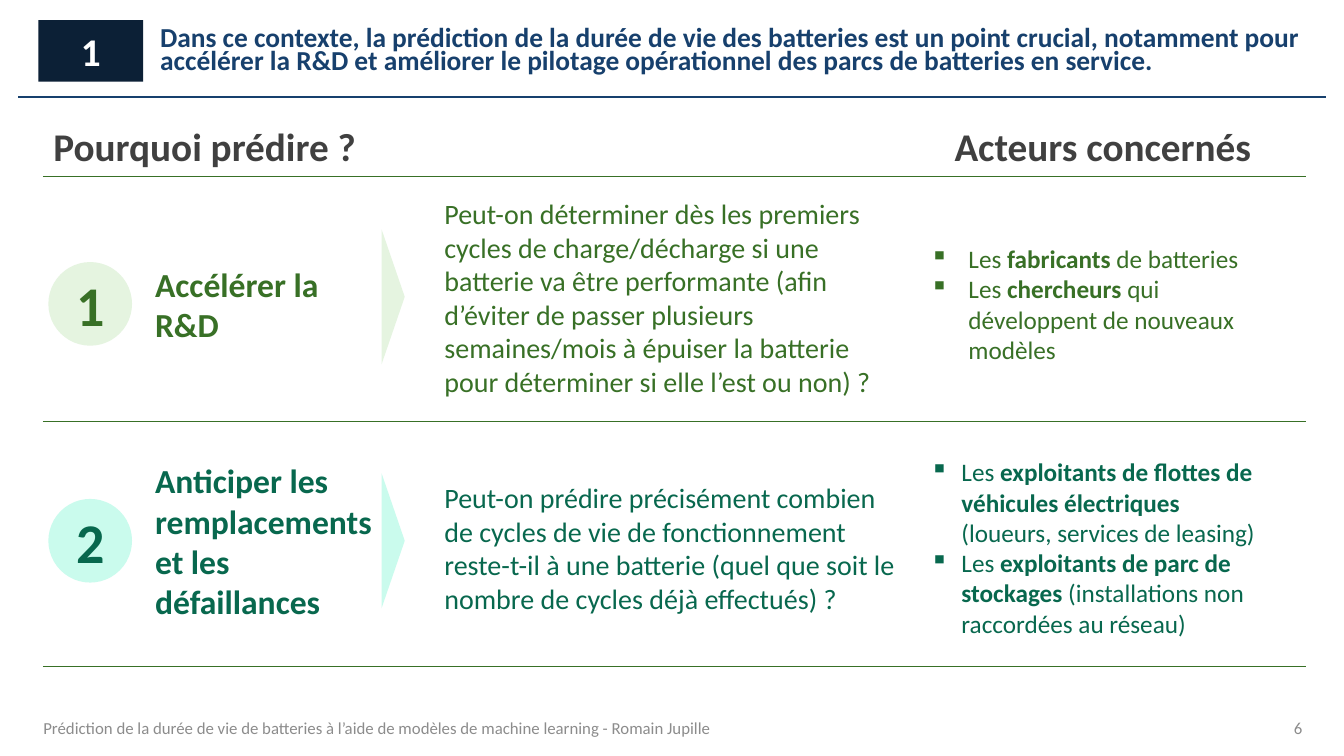
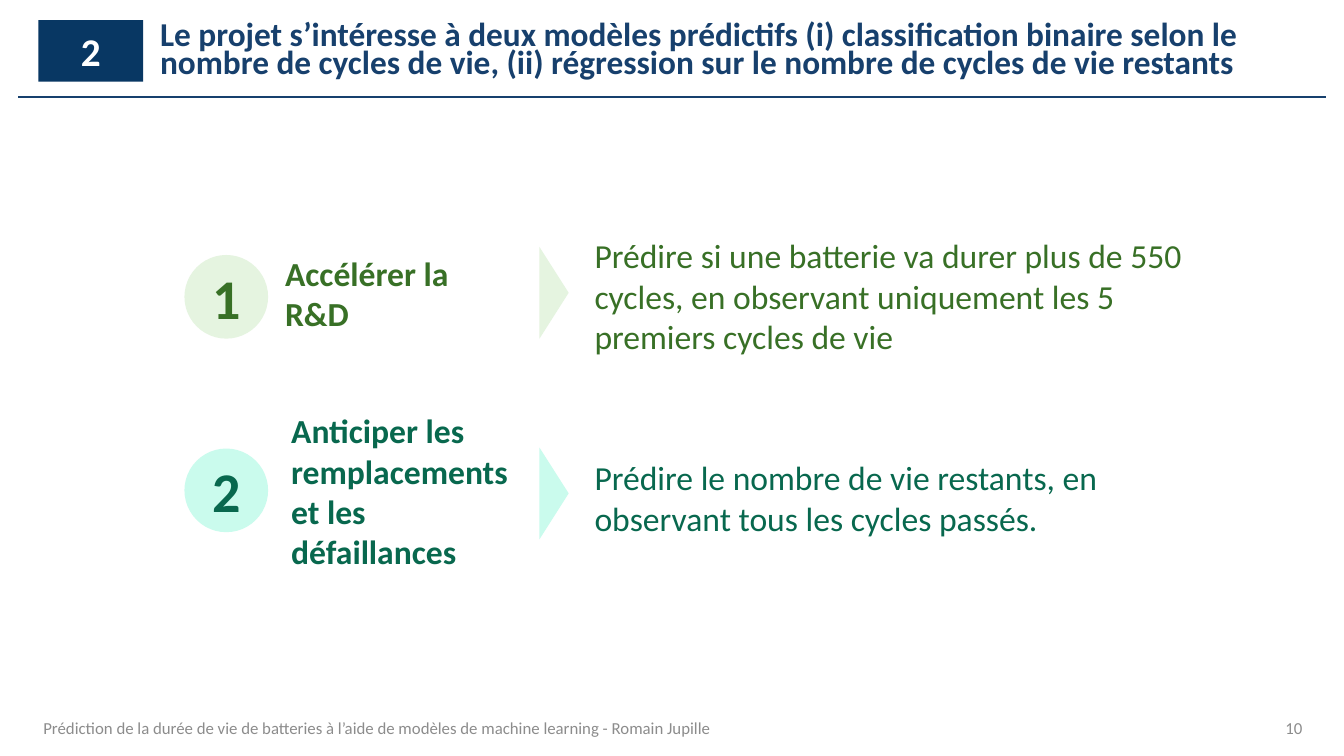
"""Build two slides on predicting battery life, on a grid of 40 columns and 30 rows."""
from lxml.etree import SubElement
from pptx import Presentation
from pptx.dml.color import RGBColor
from pptx.enum.shapes import MSO_CONNECTOR as Connector, MSO_SHAPE as Shape
from pptx.enum.text import MSO_ANCHOR as Anchor, PP_ALIGN as Align
from pptx.oxml.ns import qn
from pptx.util import Emu, Inches, Pt

COLORS = {
    "title": "17406D", "heading": "404040", "footer": "8C8C8C", "white": "FFFFFF",
    "badge_1": "0C2036", "badge_2": "083763",
    "green": "387026", "green_pale": "E5F4E0",
    "teal": "08684E", "teal_pale": "CAFBED",
}
FONT = "Calibri"
FOOTER = ("Prédiction de la durée de vie de batteries à l’aide de modèles "
          "de machine learning - Romain Jupille")
GOALS = [
    {"color": "green", "label": "Accélérer la R&D", "label_width": 6.36},
    {"color": "teal", "label": "Anticiper les remplacements et les défaillances",
     "label_width": 7.26},
]
SLIDES = [
    {
        "number": "6", "title_size": 19.6,
        "title": "Dans ce contexte, la prédiction de la durée de vie des batteries est un point "
                 "crucial, notamment pour accélérer la R&D et améliorer le pilotage "
                 "opérationnel des parcs de batteries en service.",
        "headings": ["Pourquoi prédire ?", "", "Acteurs concernés"],
        "circle_left": 1.44, "detail_left": 12.93, "detail_width": 14.13, "detail_size": 20,
        "arrow_center": 11.7, "arrow_depth": 0.69, "arrow_span": 5.36,
        "goals": [
            {"circle": 12.06, "label": 12.06, "arrow": 11.78, "detail": 11.8,
             "label_left": 4.32,
             "text": "Peut-on déterminer dès les premiers cycles de charge/décharge si une "
                     "batterie va être performante (afin d’éviter de passer plusieurs "
                     "semaines/mois à épuiser la batterie pour déterminer si elle l’est ou non) ?",
             "actors": 12.06, "actors_width": 11.16, "indent": 0.38,
             "actor_runs": [
                 [("Les ", False), ("fabricants", True), (" de batteries", False)],
                 [("Les ", False), ("chercheurs ", True),
                  ("qui développent de nouveaux modèles", False)]]},
            {"circle": 21.46, "label": 21.46, "arrow": 21.46, "detail": 21.74,
             "label_left": 4.32,
             "text": "Peut-on prédire précisément combien de cycles de vie de fonctionnement "
                     "reste-t-il à une batterie (quel que soit le nombre de cycles déjà "
                     "effectués) ?",
             "actors": 21.72, "actors_width": 10.74, "indent": 0.31,
             "actor_runs": [
                 [("Les ", False), ("exploitants de flottes de véhicules électriques ", True),
                  ("(loueurs, services de leasing)", False)],
                 [("Les ", False), ("exploitants de parc de stockages", True),
                  (" (installations non raccordées au réseau)", False)]]},
        ],
    },
    {
        "number": "10", "title_size": 23.8,
        "title": "Le projet s’intéresse à deux modèles prédictifs (i) classification binaire "
                 "selon le nombre de cycles de vie, (ii) régression sur le nombre de cycles "
                 "de vie restants",
        "headings": [],
        "circle_left": 5.49, "detail_left": 17.4, "detail_width": 19.02, "detail_size": 24,
        "arrow_center": 16.49, "arrow_depth": 0.87, "arrow_span": 3.64,
        "goals": [
            {"circle": 11.78, "label": 11.62, "arrow": 11.62, "detail": 11.74,
             "label_left": 8.19,
             "text": "Prédire si une batterie va durer plus de 550 cycles, en observant "
                     "uniquement les 5 premiers cycles de vie"},
            {"circle": 19.46, "label": 19.48, "arrow": 19.58, "detail": 19.74,
             "label_left": 8.37,
             "text": "Prédire le nombre de vie restants, en observant tous les cycles passés."},
        ],
    },
]

deck = Presentation()
deck.slide_width, deck.slide_height = Inches(13.33), Inches(7.5)
COLUMN, ROW = deck.slide_width / 40, deck.slide_height / 30


def add_text(page, left, middle, width, height, paragraphs, size, color,
             align=Align.LEFT, outline=None, fill=None, indent=0):
    """Add a box or filled shape centred on a row, with lists of (text, bold) runs."""
    place = [Emu(int(length)) for length in (
        left * COLUMN, (middle - height / 2) * ROW, width * COLUMN, height * ROW)]
    if outline is None:
        box = page.shapes.add_textbox(*place)
    else:
        box = page.shapes.add_shape(outline, *place)
        box.shadow.inherit = False
        box.fill.solid()
        box.fill.fore_color.rgb = RGBColor.from_string(COLORS[fill])
        box.line.fill.background()
    frame = box.text_frame
    frame.word_wrap = True
    frame.vertical_anchor = Anchor.MIDDLE
    for index, runs in enumerate(paragraphs):
        para = frame.add_paragraph() if index else frame.paragraphs[0]
        para.alignment = align
        if indent:
            properties = para._p.get_or_add_pPr()
            properties.set("marL", str(Inches(indent)))
            properties.set("indent", str(-Inches(indent)))
            SubElement(properties, qn("a:buChar")).set("char", "▪")
        for text, bold in runs:
            add_span(para, text, size, color, bold)
    return box


def add_span(para, text, size, color, bold):
    """Add one styled run to a paragraph."""
    span = para.add_run()
    span.text = text
    span.font.name, span.font.size, span.font.bold = FONT, Pt(size), bold
    span.font.color.rgb = RGBColor.from_string(COLORS[color])


for section, content in enumerate(SLIDES, 1):
    page = deck.slides.add_slide(deck.slide_layouts[6])

    rule = page.shapes.add_connector(
        Connector.STRAIGHT, int(0.54 * COLUMN), int(3.84 * ROW),
        int(39.45 * COLUMN), int(3.84 * ROW))
    rule.line.color.rgb = RGBColor.from_string(COLORS["title"])
    rule.line.width = Pt(1.5)
    SubElement(rule._element.spPr, qn("a:effectLst"))

    add_text(page, 1.14, 2.02, 3.12, 2.44, [[(str(section), True)]], 28, "white",
             Align.CENTER, Shape.RECTANGLE, f"badge_{section}")
    title = add_text(page, 4.47, 2.08, 34.89, 3.04, [[(content["title"], True)]],
                     content["title_size"], "title")
    title.text_frame.paragraphs[0].line_spacing = 0.7
    title.text_frame.paragraphs[0].space_before = Pt(10)
    footer = add_text(page, 1.29, 28.88, 33.3, 1.6, [[(FOOTER, False)]], 12, "footer")
    footer.text_frame.margin_left = 0
    add_text(page, 37.2, 28.88, 1.86, 1.6, [[(content["number"], False)]], 12, "footer",
             Align.RIGHT)

    if content["headings"]:
        widths, heights = [9.93, 16.89, 10.74], [2.28, 9.72, 9.72]
        table = page.shapes.add_table(
            3, 3, int(1.29 * COLUMN), int(4.72 * ROW),
            int(sum(widths) * COLUMN), int(sum(heights) * ROW)).table
        table.first_row = table.horz_banding = False
        for index in range(3):
            table.columns[index].width = int(widths[index] * COLUMN)
            table.rows[index].height = int(heights[index] * ROW)
        for index in (1, 2):
            table.cell(index, 0).merge(table.cell(index, 2))
        for row in range(3):
            for column, heading in enumerate(content["headings"]):
                cell = table.cell(row, column)
                cell.vertical_anchor = Anchor.MIDDLE
                borders = {"lnL": "white", "lnR": "white",
                           "lnT": "green" if row else "white", "lnB": "green"}
                for side, color in borders.items():
                    edge = SubElement(cell._tc.get_or_add_tcPr(), qn(f"a:{side}"))
                    edge.set("w", str(Pt(0.75)))
                    paint = SubElement(edge, qn("a:solidFill"))
                    SubElement(paint, qn("a:srgbClr")).set("val", COLORS[color])
                cell.fill.background()
                if row == 0 and heading:
                    add_span(cell.text_frame.paragraphs[0], heading, 28, "heading", True)

    for rank, (goal, spot) in enumerate(zip(GOALS, content["goals"]), 1):
        color, pale = goal["color"], goal["color"] + "_pale"
        add_text(page, content["circle_left"], spot["circle"], 2.49, 3.32,
                 [[(str(rank), True)]], 40, color, Align.CENTER, Shape.OVAL, pale)
        add_text(page, spot["label_left"], spot["label"], goal["label_width"], 3.64,
                 [[(goal["label"], True)]], 24, color)
        span, depth = content["arrow_span"] * ROW, content["arrow_depth"] * COLUMN
        arrow = page.shapes.add_shape(
            Shape.ISOSCELES_TRIANGLE, int(content["arrow_center"] * COLUMN - span / 2),
            int(spot["arrow"] * ROW - depth / 2), int(span), int(depth))
        arrow.rotation = 90
        arrow.shadow.inherit = False
        arrow.fill.solid()
        arrow.fill.fore_color.rgb = RGBColor.from_string(COLORS[pale])
        arrow.line.fill.background()
        add_text(page, content["detail_left"], spot["detail"], content["detail_width"], 5.24,
                 [[(spot["text"], False)]], content["detail_size"], color)
        if "actors" in spot:
            add_text(page, 27.39, spot["actors"], spot["actors_width"], 7.68,
                     spot["actor_runs"], 18, color, indent=spot["indent"])

deck.save("out.pptx")
